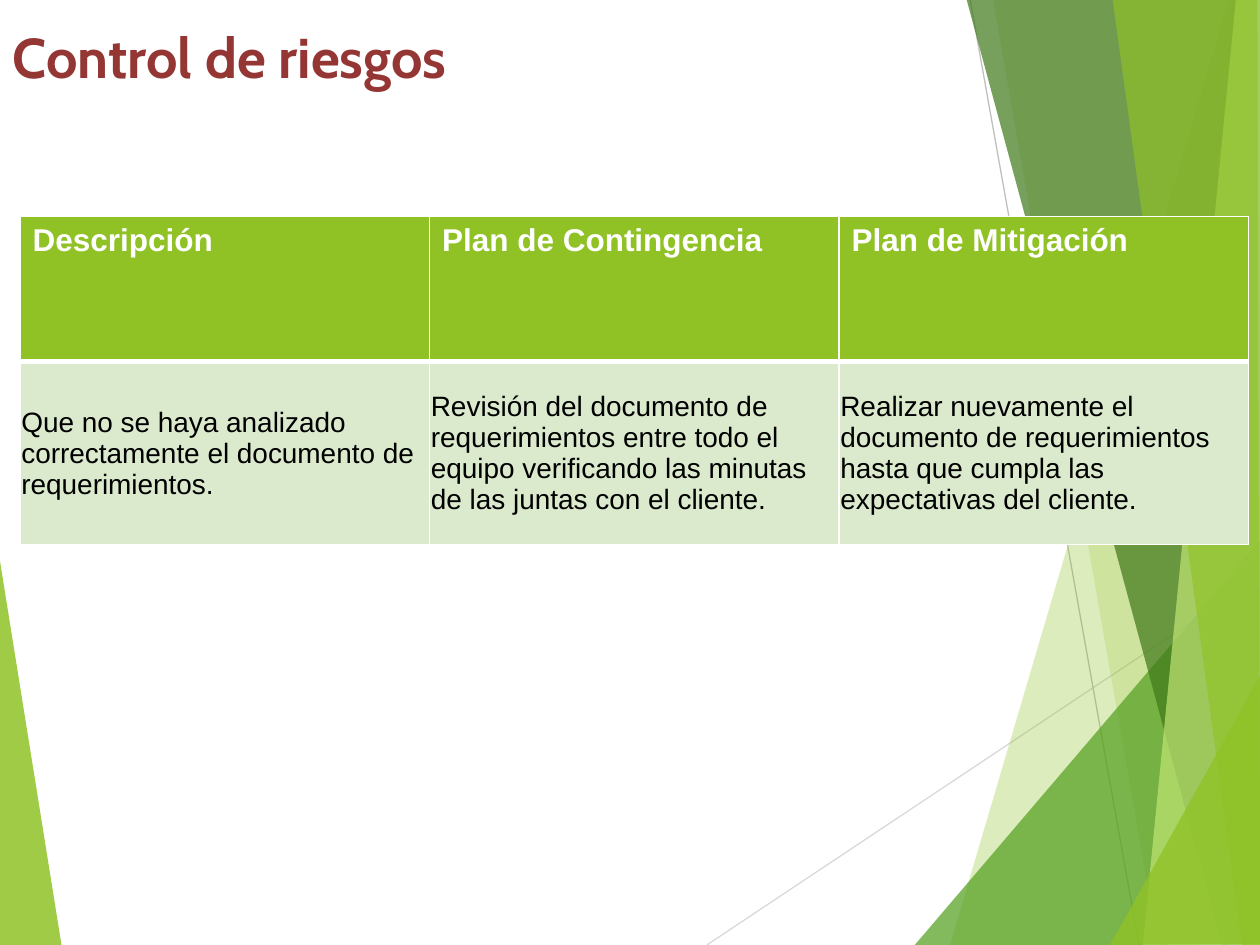
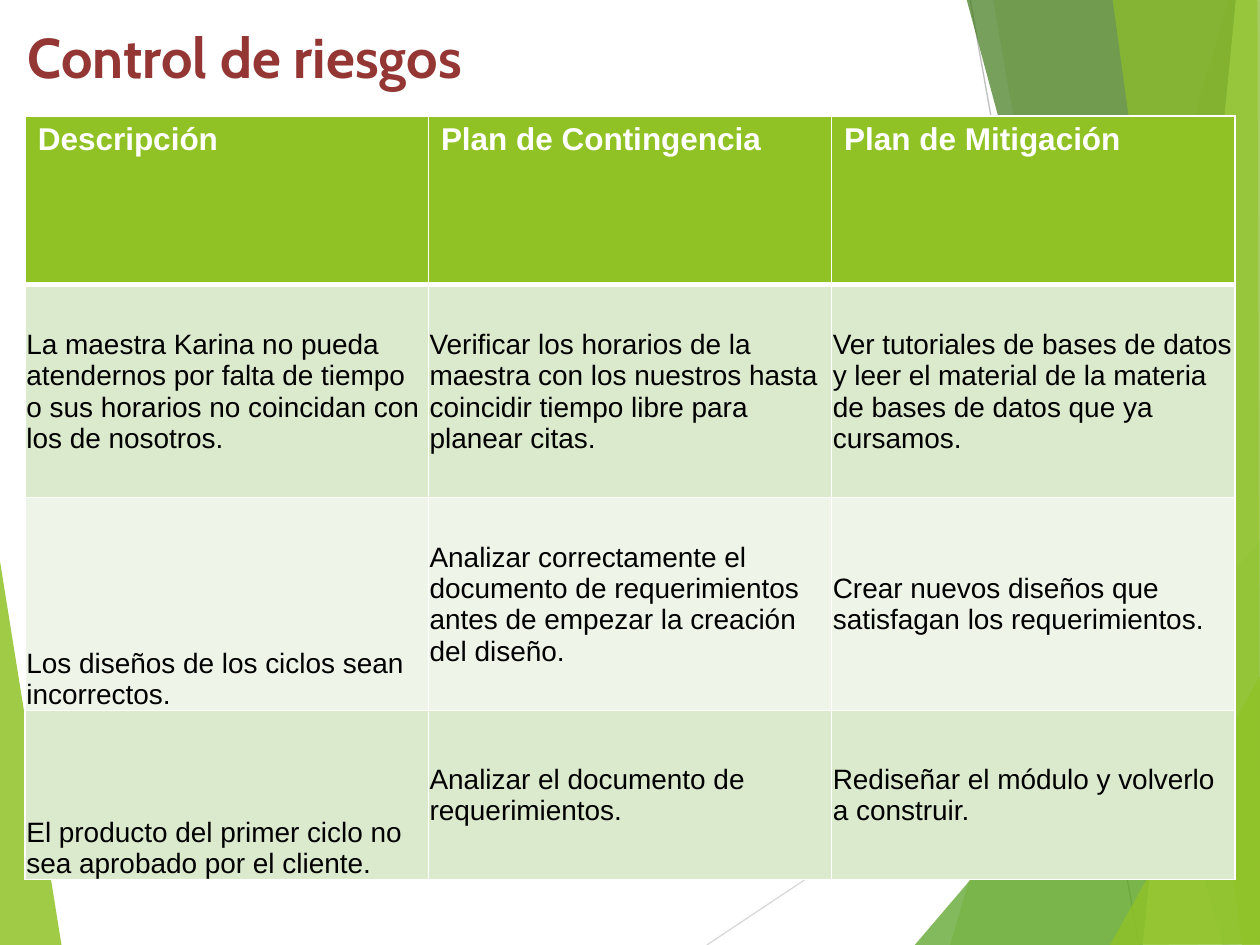
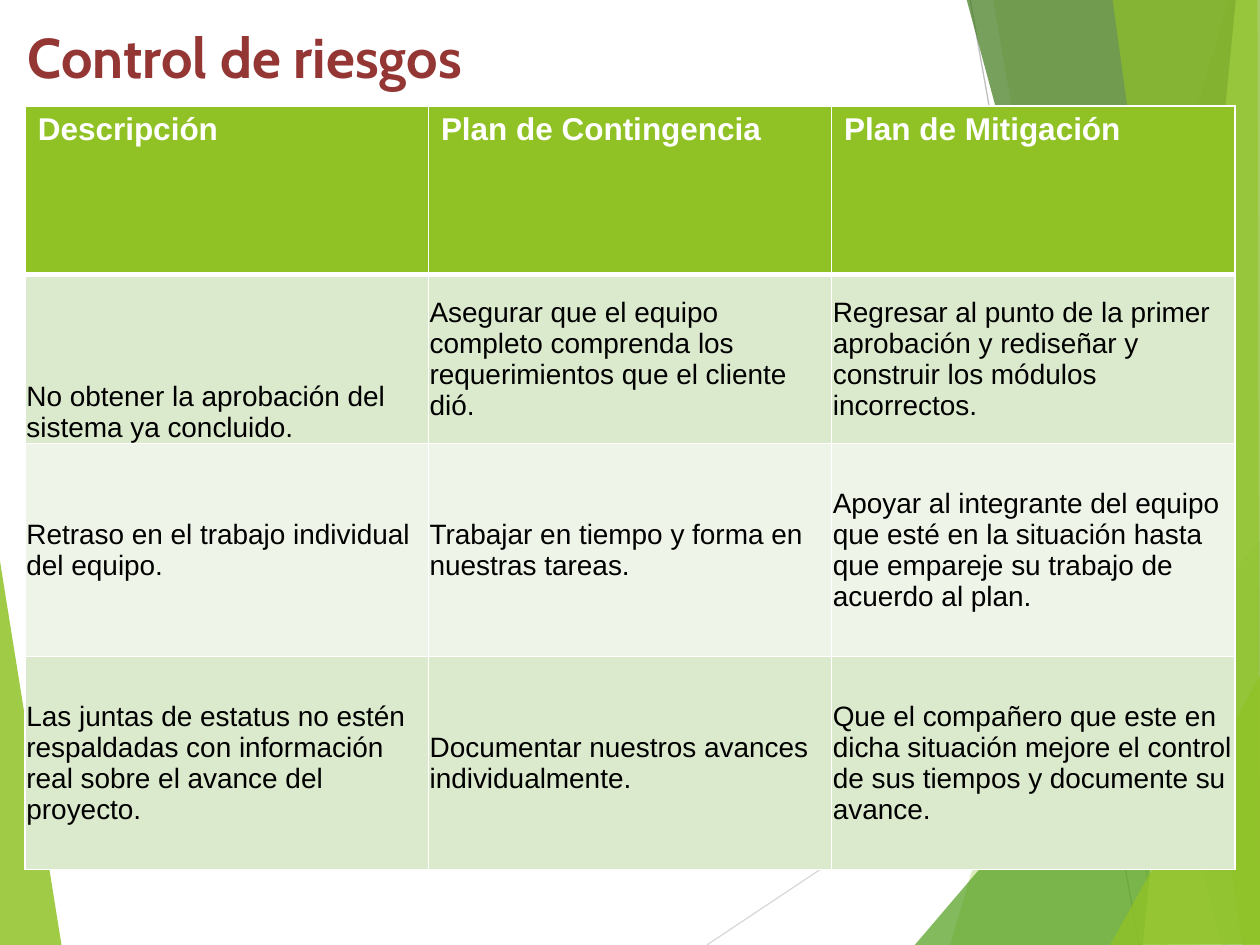
from lxml import etree
from pptx import Presentation
from pptx.dml.color import RGBColor
from pptx.enum.shapes import MSO_CONNECTOR
from pptx.enum.text import MSO_ANCHOR, MSO_AUTO_SIZE, PP_ALIGN
from pptx.oxml import parse_xml
from pptx.oxml.ns import nsdecls, qn
from pptx.util import Inches, Pt

STRAIGHT = MSO_CONNECTOR.STRAIGHT
TOP, MIDDLE, BOTTOM = MSO_ANCHOR.TOP, MSO_ANCHOR.MIDDLE, MSO_ANCHOR.BOTTOM
LEFT = PP_ALIGN.LEFT
NO_AUTOFIT = MSO_AUTO_SIZE.NONE

# Shared look
WHITE, BLACK, RED = "FFFFFF", "000000", "943634"
LIME, GREEN, FOREST, PALE = "90C226", "54A021", "3F7819", "C0E474"
BANDS = ("DBE9CD", "EEF4E8")
TITLE = "Control de riesgos"
HEADERS = ("Descripción", "Plan de Contingencia", "Plan de Mitigación")

# Background: lines (start, end, colour), then facets (colour, opacity, corners)
RAYS = [
    ((5.61, 7.5), (10.01, 4.57), "D9D9D9"),
    ((7.7, 0), (9.04, 7.5), "BFBFBF"),
]
LEFT_FACET = (LIME, 85, [(-0.01, 4.39), (0.49, 7.51), (-0.01, 7.5)])
RIGHT_FACETS = [
    (LIME, 30, [(9.75, 0), (7.54, 7.5), (10.02, 7.51), (10.01, 0.01)]),
    (LIME, 20, [(7.88, -0.01), (9.19, 7.5), (10.01, 7.5), (10.01, -0.01)]),
    (GREEN, 72, [(7.26, 7.5), (10, 4.29), (10.01, 7.5)]),
    (FOREST, 70, [(7.67, -0.01), (9.7, 7.5), (10.01, 7.49), (10.01, -0.01)]),
    (PALE, 70, [(9.81, -0.01), (9.07, 7.5), (10.01, 7.5), (10, -0.01)]),
    (LIME, 65, [(8.83, -0.01), (9.86, 7.5), (10, 7.5), (9.98, -0.01)]),
    (LIME, 80, [(8.81, 7.5), (10.01, 5.35), (10.01, 7.49)]),
]

# Slides: each row is (height, anchor of the first cell, texts)
SLIDES = [
    {
        "title": (0, 10), "table": (0.16, 1.72), "column": 3.25, "header": 1.15,
        "rows": [
            (1.45, MIDDLE, (
                "Que no se haya analizado correctamente el documento de requerimientos.",
                "Revisión del documento de requerimientos entre todo el equipo "
                "verificando las minutas de las juntas con el cliente.",
                "Realizar nuevamente el documento de requerimientos hasta que cumpla "
                "las expectativas del cliente.")),
        ],
    },
    {
        "title": (0.12, 9.37), "table": (0.2, 0.92), "column": 3.2, "header": 1.34,
        "rows": [
            (1.69, MIDDLE, (
                "La maestra Karina no pueda atendernos por falta de tiempo o sus "
                "horarios no coincidan con los de nosotros.",
                "Verificar los horarios de la maestra con los nuestros hasta coincidir "
                "tiempo libre para planear citas.",
                "Ver tutoriales de bases de datos y leer el material de la materia de "
                "bases de datos que ya cursamos.")),
            (1.69, BOTTOM, (
                "Los diseños de los ciclos sean incorrectos.",
                "Analizar correctamente el documento de requerimientos antes de "
                "empezar la creación del diseño.",
                "Crear nuevos diseños que satisfagan los requerimientos.")),
            (1.34, BOTTOM, (
                "El producto del primer ciclo no sea aprobado por el cliente.",
                "Analizar el documento de requerimientos.",
                "Rediseñar el módulo y volverlo a construir.")),
        ],
    },
    {
        "title": (0.12, 9.53), "table": (0.2, 0.84), "column": 3.2, "header": 1.34,
        "rows": [
            (1.34, BOTTOM, (
                "No obtener la aprobación del sistema ya concluido.",
                "Asegurar que el equipo completo comprenda los requerimientos que el "
                "cliente dió.",
                "Regresar al punto de la primer aprobación y rediseñar y construir los "
                "módulos incorrectos.")),
            (1.69, MIDDLE, (
                "Retraso en el trabajo individual del equipo.",
                "Trabajar en tiempo y forma en nuestras tareas.",
                "Apoyar al integrante del equipo que esté en la situación hasta que "
                "empareje su trabajo de acuerdo al plan.")),
            (1.69, MIDDLE, (
                "Las juntas de estatus no estén respaldadas con información real sobre "
                "el avance del proyecto.",
                "Documentar nuestros avances individualmente.",
                "Que el compañero que este en dicha situación mejore el control de sus "
                "tiempos y documente su avance.")),
        ],
    },
]


def color(value):
    return RGBColor.from_string(value)


def write(frame, text, size, ink, font="Arial", bold=False):
    para = frame.paragraphs[0]
    para.alignment = LEFT
    span = para.add_run()
    span.text = text
    span.font.size, span.font.name, span.font.bold = Pt(size), font, bold
    span.font.color.rgb = color(ink)


def add_ray(page, start, end, ink):
    ray = page.shapes.add_connector(STRAIGHT, *map(Inches, start + end))
    ray.line.color.rgb = color(ink)
    ray.line.width = Pt(0.75)
    etree.SubElement(ray.element.spPr, qn("a:effectLst"))


def add_facet(page, ink, opacity, corners):
    points = [(Inches(x), Inches(y)) for x, y in corners]
    builder = page.shapes.build_freeform(*points[0])
    builder.add_line_segments(points[1:], close=True)
    facet = builder.convert_to_shape()
    facet.shadow.inherit = False
    facet.line.fill.background()
    facet.fill.solid()
    facet.fill.fore_color.rgb = color(ink)
    tint = facet.element.spPr.find(qn("a:solidFill"))[0]
    etree.SubElement(tint, qn("a:alpha"), val=str(opacity * 1000))


def add_background(page):
    add_facet(page, *LEFT_FACET)
    for ray in RAYS:
        add_ray(page, *ray)
    for facet in RIGHT_FACETS:
        add_facet(page, *facet)


def set_borders(cell, top=1, bottom=1):
    properties = cell._tc.get_or_add_tcPr()
    for place, (side, width) in enumerate(zip("LRTB", (1, 1, top, bottom))):
        properties.insert(place, parse_xml(
            f'<a:ln{side} {nsdecls("a")} w="{Pt(width)}"><a:solidFill>'
            f'<a:srgbClr val="{WHITE}"/></a:solidFill></a:ln{side}>'))


def format_cell(cell, text, fill, anchor, size, ink, bold=False, top=1, bottom=1):
    cell.fill.solid()
    cell.fill.fore_color.rgb = color(fill)
    cell.vertical_anchor = anchor
    set_borders(cell, top, bottom)
    write(cell.text_frame, text, size, ink, bold=bold)


def add_risk_table(page, place, column, header, rows):
    heights = [header] + [height for height, _, _ in rows]
    width = column * len(HEADERS)
    table = page.shapes.add_table(
        len(heights), len(HEADERS), *map(Inches, (*place, width, sum(heights)))).table
    table.horz_banding = False
    for line, height in zip(table.rows, heights):
        line.height = Inches(height)
    for index, text in enumerate(HEADERS):
        table.columns[index].width = Inches(column)
        format_cell(table.cell(0, index), text, LIME, TOP, 18, WHITE, bold=True, bottom=3)
    for number, (_, first_anchor, texts) in enumerate(rows):
        for index, text in enumerate(texts):
            cell = table.cell(number + 1, index)
            cell.margin_left = cell.margin_top = cell.margin_right = Inches(0.01)
            cell.margin_bottom = 0
            format_cell(cell, text, BANDS[number % 2], MIDDLE if index else first_anchor,
                        16, BLACK, top=1 if number else 3)


def add_title(page, left, width):
    title = page.shapes.title
    title.left, title.top, title.width, title.height = map(Inches, (left, 0.13, width, 0.86))
    frame = title.text_frame
    frame.vertical_anchor = TOP
    frame.auto_size = NO_AUTOFIT
    write(frame, TITLE, 32, RED, font="Cabin", bold=True)
    # Bring the title in front of the background
    title.element.getparent().append(title.element)


def main():
    deck = Presentation()
    deck.slide_width, deck.slide_height = Inches(10), Inches(7.5)
    title_only = deck.slide_layouts[5]
    for content in SLIDES:
        page = deck.slides.add_slide(title_only)
        add_background(page)
        add_risk_table(page, content["table"], content["column"],
                       content["header"], content["rows"])
        add_title(page, *content["title"])
    deck.save("out.pptx")


if __name__ == "__main__":
    main()
